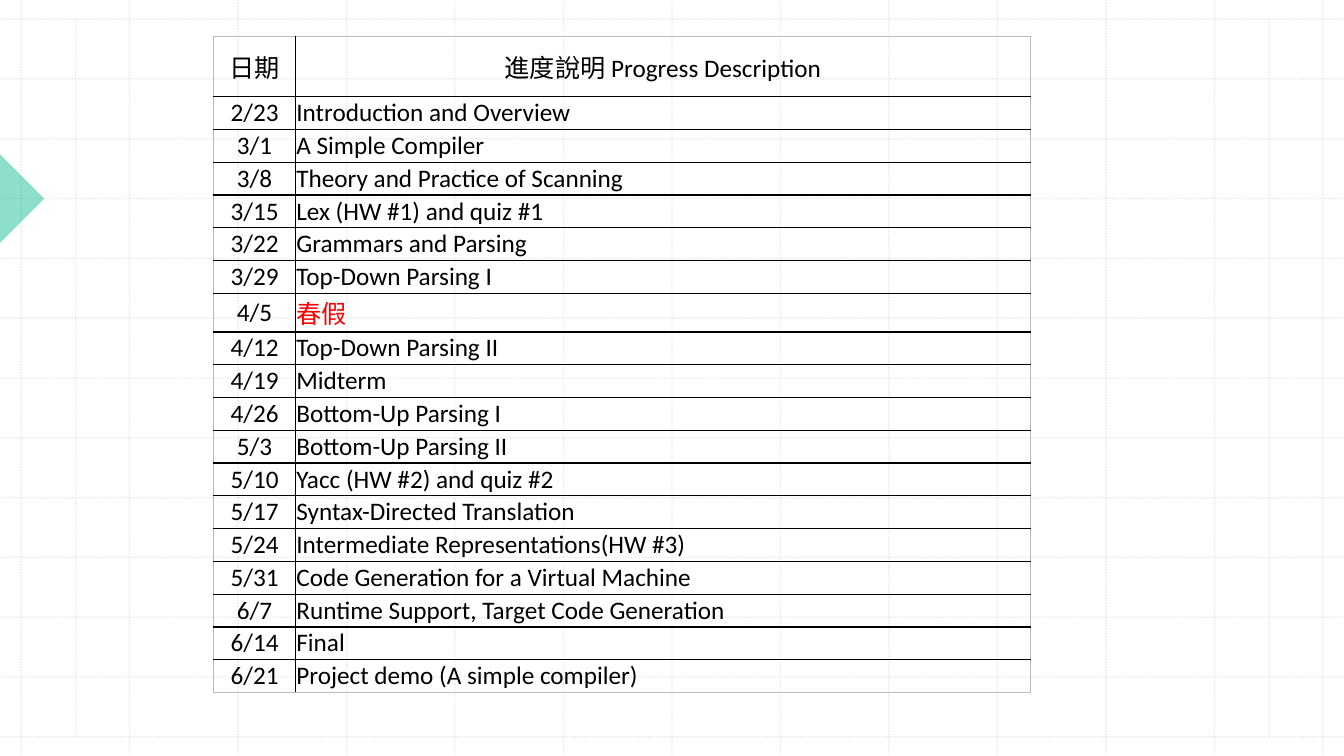
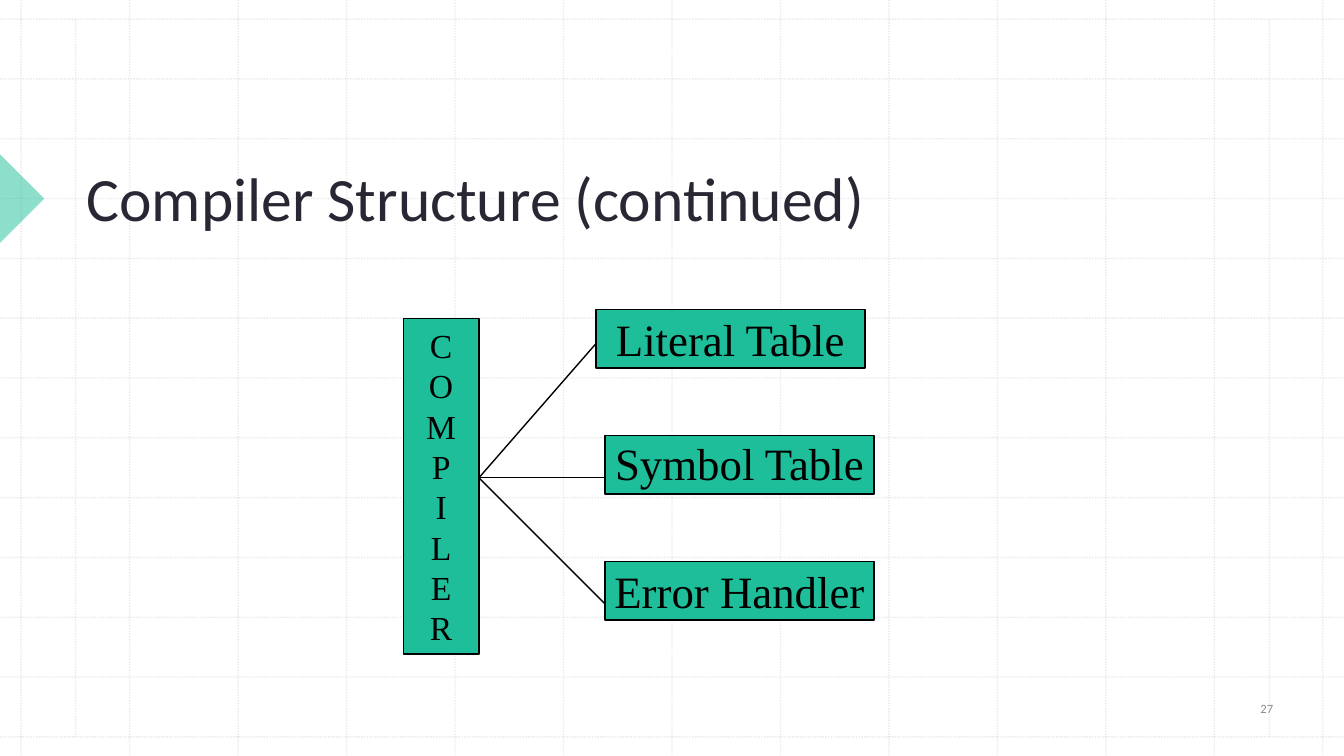
from itertools import count

from lxml.etree import SubElement
from pptx import Presentation
from pptx.dml.color import RGBColor
from pptx.enum.dml import MSO_LINE
from pptx.enum.shapes import MSO_CONNECTOR, MSO_SHAPE
from pptx.enum.text import MSO_ANCHOR, MSO_AUTO_SIZE, PP_ALIGN
from pptx.oxml import parse_xml
from pptx.oxml.ns import nsdecls, qn
from pptx.util import Inches, Pt

WIDTH, HEIGHT = 13.33, 7.5
BLACK, RED, GREEN = "000000", "FF0000", "1EBE9B"
INK, GRAY, GRID = "2A2735", "8C8C8C", "BCBCBC"
SANS, SERIF = "Calibri", "Times New Roman"
GRID_STEPS = 12
GRID_LEFT, GRID_RIGHT, GRID_TOP, GRID_BOTTOM = 0.21, 13.12, 0.19, 7.31
MARGIN_LEFT, MARGIN_RIGHT = 0.75, 12.59

SCHEDULE = [
    ("日期", "進度說明 Progress Description"),
    ("2/23", "Introduction and Overview"),
    ("3/1", "A Simple Compiler"),
    ("3/8", "Theory and Practice of Scanning"),
    ("3/15", "Lex (HW #1) and quiz #1"),
    ("3/22", "Grammars and Parsing"),
    ("3/29", "Top-Down Parsing I"),
    ("4/5", "春假"),
    ("4/12", "Top-Down Parsing II"),
    ("4/19", "Midterm"),
    ("4/26", "Bottom-Up Parsing I"),
    ("5/3", "Bottom-Up Parsing II"),
    ("5/10", "Yacc (HW #2) and quiz #2"),
    ("5/17", "Syntax-Directed Translation"),
    ("5/24", "Intermediate Representations(HW #3)"),
    ("5/31", "Code Generation for a Virtual Machine"),
    ("6/7", "Runtime Support, Target Code Generation"),
    ("6/14", "Final"),
    ("6/21", "Project demo (A simple compiler)"),
]
HOLIDAY = "春假"


def color(value):
    """Turn a hex string into a colour."""
    return RGBColor.from_string(value)


def set_alpha(shape, percent):
    """Make the fill and line colours of a shape partly transparent."""
    for tint in shape.element.xpath(".//a:solidFill/a:srgbClr"):
        SubElement(tint, qn("a:alpha"), val=str(percent * 1000))


def write(frame, text, size, ink, font=SANS, align=PP_ALIGN.LEFT):
    """Fill a text frame and format every run in it."""
    frame.text = text
    for para in frame.paragraphs:
        para.alignment = align
        for span in para.runs:
            span.font.size = Pt(size)
            span.font.name = font
            span.font.color.rgb = color(ink)


def place(shape, left, top, width, height):
    """Move and size a shape."""
    shape.left, shape.top = Inches(left), Inches(top)
    shape.width, shape.height = Inches(width), Inches(height)


def add_line(page, start, end, ink=BLACK):
    """Draw a straight one-point line between two points."""
    ends = [Inches(value) for value in (*start, *end)]
    line = page.shapes.add_connector(MSO_CONNECTOR.STRAIGHT, *ends)
    line.line.color.rgb = color(ink)
    line.line.width = Pt(1)
    SubElement(line.element.spPr, qn("a:effectLst"))
    return line


def add_shape(page, kind, left, top, width, height):
    """Add a green preset shape without a shadow."""
    box = page.shapes.add_shape(kind, 0, 0, 0, 0)
    place(box, left, top, width, height)
    box.shadow.inherit = False
    box.fill.solid()
    box.fill.fore_color.rgb = color(GREEN)
    return box


def add_node(page, text, size, left, top, width, height, anchor=MSO_ANCHOR.MIDDLE):
    """Add an outlined diagram box with centred text."""
    box = add_shape(page, MSO_SHAPE.RECTANGLE, left, top, width, height)
    box.line.color.rgb = color(BLACK)
    box.line.width = Pt(1)
    frame = box.text_frame
    frame.word_wrap = False
    frame.vertical_anchor = anchor
    frame.margin_left = frame.margin_right = frame.margin_top = frame.margin_bottom = 0
    write(frame, text, size, BLACK, SERIF, PP_ALIGN.CENTER)


def grid_ends():
    """List the end points of all background grid lines."""
    step_x = (GRID_RIGHT - GRID_LEFT) / GRID_STEPS
    step_y = (GRID_BOTTOM - GRID_TOP) / GRID_STEPS
    columns = [GRID_LEFT + step * step_x for step in range(GRID_STEPS + 1)]
    rows = [GRID_TOP + step * step_y for step in range(GRID_STEPS + 1)]
    ends = [((x, 0), (x, HEIGHT)) for x in columns]
    ends += [((0, y), (WIDTH, y)) for y in rows]
    ends += [((x, GRID_TOP), (x, GRID_BOTTOM)) for x in (MARGIN_LEFT, MARGIN_RIGHT)]
    return ends


def build_master(deck, page):
    """Draw the grid and the side marker, then move them to the slide master."""
    shapes = []
    for start, end in grid_ends():
        line = add_line(page, start, end, GRID)
        line.line.dash_style = MSO_LINE.ROUND_DOT
        set_alpha(line, 30)
        shapes.append(line)
    marker = add_shape(page, MSO_SHAPE.RIGHT_TRIANGLE, -0.31, 1.66, 0.62, 0.62)
    marker.rotation = 225
    marker.line.fill.background()
    set_alpha(marker, 50)
    shapes.append(marker)
    for number, shape in zip(count(100), shapes):
        shape.element.xpath(".//p:cNvPr")[0].set("id", str(number))
        deck.slide_master.shapes.element.append(shape.element)


def set_borders(cell, inks):
    """Set the left, right, top and bottom border colours of a cell."""
    properties = cell._tc.get_or_add_tcPr()
    for index, (side, ink) in enumerate(zip("LRTB", inks)):
        border = parse_xml(
            f'<a:ln{side} {nsdecls("a")} w="12700"><a:solidFill>'
            f'<a:srgbClr val="{ink}"/></a:solidFill></a:ln{side}>'
        )
        properties.insert(index, border)


def style_cell(cell, text, align):
    """Write one schedule cell."""
    cell.fill.background()
    cell.vertical_anchor = MSO_ANCHOR.MIDDLE
    cell.margin_left = cell.margin_right = Inches(0.01)
    cell.margin_top = cell.margin_bottom = Inches(0.01)
    write(cell.text_frame, text, 18, RED if text == HOLIDAY else BLACK, align=align)


def add_schedule(page):
    """Add the table of course dates."""
    last = len(SCHEDULE) - 1
    frame = page.shapes.add_table(
        len(SCHEDULE), 2, Inches(2.12), Inches(0.36), Inches(8.1), Inches(6.18)
    )
    table = frame.table
    table.first_row = table.horz_banding = False
    for column, width in zip(table.columns, (0.81, 7.29)):
        column.width = Inches(width)
    for row, entry in enumerate(SCHEDULE):
        table.rows[row].height = Inches(0.31 if row else 0.6)
        for column, text in enumerate(entry):
            centered = row == 0 or column == 0
            cell = table.cell(row, column)
            style_cell(cell, text, PP_ALIGN.CENTER if centered else PP_ALIGN.LEFT)
            outer = (column == 0, column == 1, row == 0, row == last)
            set_borders(cell, [GRID if edge else BLACK for edge in outer])


def add_title(page, text):
    """Write the slide title in its placeholder."""
    title = page.shapes.title
    place(title, 0.76, 0.79, 11.29, 1.58)
    frame = title.text_frame
    frame.word_wrap = True
    frame.auto_size = MSO_AUTO_SIZE.NONE
    frame.vertical_anchor = MSO_ANCHOR.BOTTOM
    write(frame, text, 44, INK)


def add_page_number(page, number):
    """Add the slide number at the lower right."""
    box = page.shapes.add_textbox(Inches(12.03), Inches(6.8), Inches(1.07), Inches(0.46))
    box.text_frame.word_wrap = True
    box.text_frame.vertical_anchor = MSO_ANCHOR.MIDDLE
    write(box.text_frame, str(number), 9, GRAY, align=PP_ALIGN.CENTER)


def add_compiler_diagram(page):
    """Draw the compiler and the three parts it is linked to."""
    parts = [
        ("Literal Table", 5.91, 3.07, 3.41, MSO_ANCHOR.MIDDLE),
        ("Symbol Table", 6, 4.32, 4.74, MSO_ANCHOR.TOP),
        ("Error Handler", 6, 5.57, 5.99, MSO_ANCHOR.MIDDLE),
    ]
    for text, left, top, link_y, anchor in parts:
        add_node(page, text, 32, left, top, 2.67, 0.58, anchor)
        add_line(page, (4.75, 4.74), (left, link_y))
    add_node(page, "\n".join("COMPILER"), 24, 4, 3.16, 0.75, 3.33)


def main():
    """Build and save the deck."""
    deck = Presentation()
    deck.slide_width, deck.slide_height = Inches(WIDTH), Inches(HEIGHT)
    title_only, blank = deck.slide_layouts[5], deck.slide_layouts[6]

    schedule = deck.slides.add_slide(blank)
    build_master(deck, schedule)
    add_schedule(schedule)

    structure = deck.slides.add_slide(title_only)
    add_title(structure, "Compiler Structure (continued)")
    add_page_number(structure, 27)
    add_compiler_diagram(structure)
    deck.save("out.pptx")


if __name__ == "__main__":
    main()
